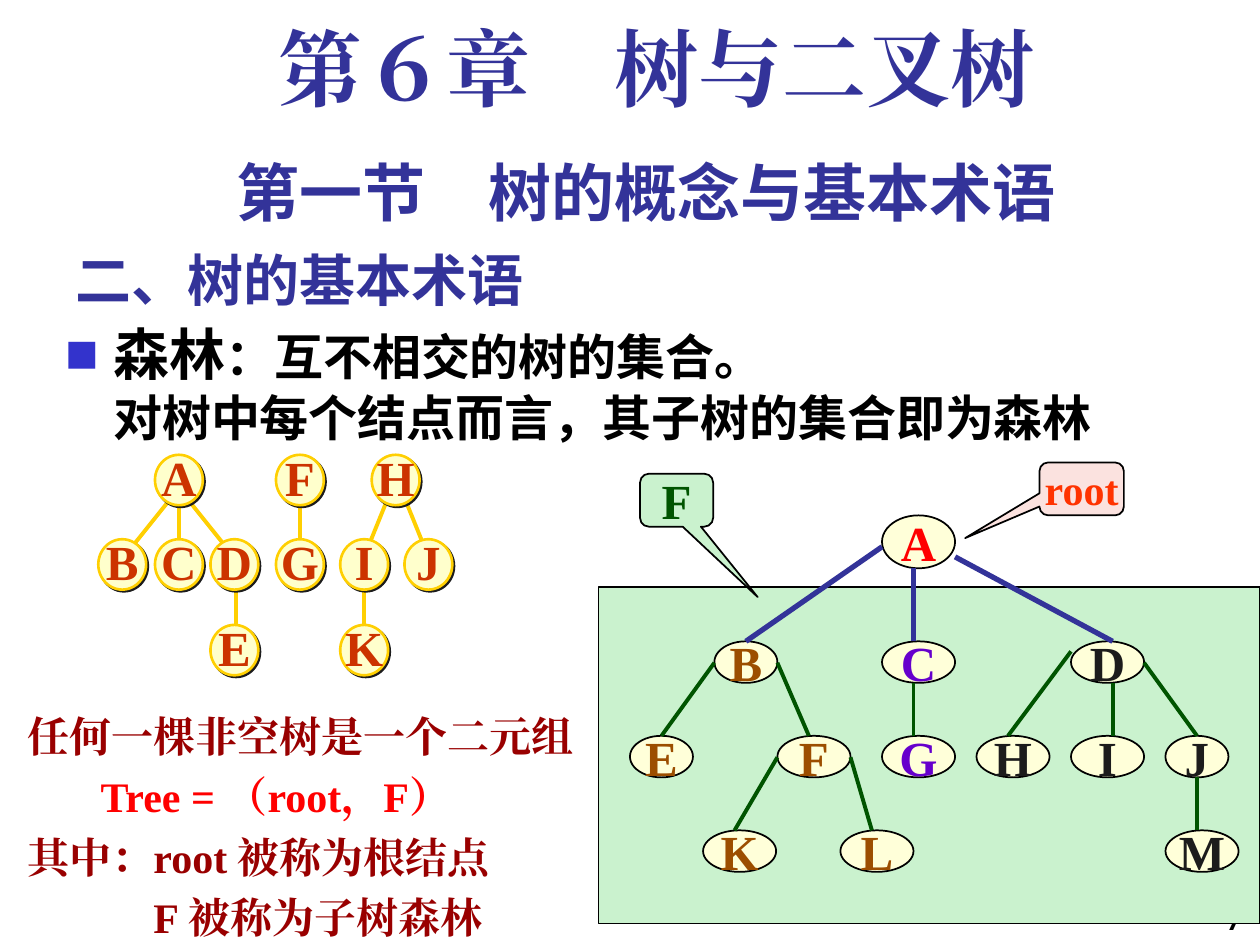
from dataclasses import dataclass
from typing import NamedTuple, Optional

from lxml.etree import SubElement
from pptx import Presentation
from pptx.dml.color import RGBColor
from pptx.enum.shapes import MSO_CONNECTOR, MSO_SHAPE
from pptx.enum.text import MSO_ANCHOR, PP_ALIGN
from pptx.oxml.ns import qn
from pptx.util import Inches, Pt


@dataclass(frozen=True)
class Theme:
    heading: str = "333399"
    ink: str = "000000"
    bullet: str = "3333CC"
    gold: str = "FFCF01"
    pale_yellow: str = "FFFFCC"
    cream: str = "FFFFD9"
    rust: str = "CC3300"
    dark_red: str = "990000"
    red: str = "FF0000"
    orange_red: str = "FF3300"
    pink: str = "FBE2DF"
    mint: str = "CAF2CE"
    green: str = "005400"
    brown: str = "9C4E00"
    purple: str = "6600CC"
    charcoal: str = "1C1C1C"
    serif: str = "Times New Roman"
    sans: str = "Roboto"
    chinese: str = "Noto Sans CJK SC"
    chapter_size: int = 48
    section_size: int = 36
    topic_size: int = 32
    node_size: int = 28
    note_size: int = 24


THEME = Theme()


class Area(NamedTuple):
    left: float
    top: float
    width: float
    height: float


class Span(NamedTuple):
    text: str
    size: int
    color: str
    font: str = THEME.serif
    bold: bool = True


class Line(NamedTuple):
    spans: list
    align: PP_ALIGN = PP_ALIGN.LEFT
    margin: float = 0
    spacing: Optional[float] = None
    bullet: bool = False


class Node(NamedTuple):
    label: str
    left: float
    top: float
    width: float
    color: str


class Edge(NamedTuple):
    x1: float
    y1: float
    x2: float
    y2: float


def rgb(color: str) -> RGBColor:
    return RGBColor.from_string(color)


def add_bullet(paragraph) -> None:
    properties = paragraph._p.get_or_add_pPr()
    properties.set("indent", str(-Inches(0.38)))
    color = SubElement(properties, qn("a:buClr"))
    SubElement(color, qn("a:srgbClr"), val=THEME.bullet)
    SubElement(properties, qn("a:buSzPct"), val="60000")
    SubElement(properties, qn("a:buFont"), typeface=THEME.chinese)
    SubElement(properties, qn("a:buChar"), char="■")


def write_lines(frame, lines: list) -> None:
    for index, line in enumerate(lines):
        paragraph = frame.paragraphs[0] if index == 0 else frame.add_paragraph()
        paragraph.alignment = line.align
        paragraph.line_spacing = line.spacing
        if line.margin:
            paragraph._p.get_or_add_pPr().set("marL", str(Inches(line.margin)))
        if line.bullet:
            add_bullet(paragraph)
        for span in line.spans:
            run = paragraph.add_run()
            run.text = span.text
            run.font.size = Pt(span.size)
            run.font.bold = span.bold
            run.font.name = span.font
            run.font.color.rgb = rgb(span.color)
            SubElement(run._r.get_or_add_rPr(), qn("a:ea"), typeface=span.font)


def add_text(page, area: Area, lines: list, anchor=MSO_ANCHOR.TOP, wrap: bool = True) -> None:
    box = page.shapes.add_textbox(*map(Inches, area))
    box.text_frame.word_wrap = wrap
    box.text_frame.vertical_anchor = anchor
    write_lines(box.text_frame, lines)


def add_figure(shapes, kind, area: Area, fill: str, outline: str = THEME.ink,
               weight: float = 1, label: Optional[Span] = None):
    shape = shapes.add_shape(kind, *map(Inches, area))
    shape.shadow.inherit = False
    shape.fill.solid()
    shape.fill.fore_color.rgb = rgb(fill)
    shape.line.color.rgb = rgb(outline)
    shape.line.width = Pt(weight)
    if label:
        shape.text_frame.word_wrap = False
        shape.text_frame.vertical_anchor = MSO_ANCHOR.MIDDLE
        write_lines(shape.text_frame, [Line([label], PP_ALIGN.CENTER)])
    return shape


def add_edge(shapes, edge: Edge, color: str, weight: float) -> None:
    line = shapes.add_connector(MSO_CONNECTOR.STRAIGHT, *map(Inches, edge))
    line.line.color.rgb = rgb(color)
    line.line.width = Pt(weight)
    SubElement(line._element.spPr, qn("a:effectLst"))


def add_forest_node(shapes, label: str, center_x: float, center_y: float) -> None:
    area = Area(center_x - 0.19, center_y - 0.2, 0.38, 0.4)
    span = Span(label, THEME.node_size, THEME.rust)
    shape = add_figure(shapes, MSO_SHAPE.OVAL, area, THEME.pale_yellow, THEME.gold, 1.5, span)
    shape.text_frame.margin_top = 0
    shape.text_frame.margin_bottom = Inches(0.05)
    effects = shape._element.spPr.find(qn("a:effectLst"))
    shadow = SubElement(effects, qn("a:outerShdw"), dist=str(Pt(1.4)), dir="2700000",
                        algn="ctr", rotWithShape="0")
    SubElement(shadow, qn("a:srgbClr"), val=THEME.charcoal)


def add_tree_node(shapes, node: Node, height: float = 0.33) -> None:
    add_figure(shapes, MSO_SHAPE.OVAL, Area(node.left, node.top, node.width, height),
               THEME.cream, label=Span(node.label, THEME.node_size, node.color))


def add_callout(shapes, area: Area, fill: str, label: Span, tip: tuple) -> None:
    callout = add_figure(shapes, MSO_SHAPE.ROUNDED_RECTANGULAR_CALLOUT, area, fill, label=label)
    callout.adjustments[0], callout.adjustments[1] = tip


FOREST_LEVELS = {
    3.81: {"A": 1.42, "F": 2.38, "H": 3.14},
    4.48: {"B": 0.97, "C": 1.42, "D": 1.86, "G": 2.38, "I": 2.89, "J": 3.4},
    5.16: {"E": 1.86, "K": 2.89},
}
FOREST_EDGES = [
    Edge(3.21, 3.95, 3.4, 4.42), Edge(3.08, 3.95, 2.89, 4.42),
    Edge(1.48, 3.95, 1.8, 4.35), Edge(1.36, 3.95, 1.04, 4.35),
    Edge(2.89, 4.62, 2.89, 5.03), Edge(1.87, 4.62, 1.87, 5.03),
    Edge(2.38, 3.95, 2.38, 4.35), Edge(1.42, 3.95, 1.42, 4.35),
]
TREE_NODES = [
    Node("B", 5.67, 5.09, 0.5, THEME.brown), Node("C", 7, 5.09, 0.58, THEME.purple),
    Node("D", 8.5, 5.09, 0.58, THEME.charcoal), Node("E", 5, 5.84, 0.5, THEME.brown),
    Node("F", 6.17, 5.84, 0.58, THEME.brown), Node("G", 7, 5.84, 0.58, THEME.purple),
    Node("H", 7.75, 5.84, 0.58, THEME.charcoal), Node("I", 8.5, 5.84, 0.58, THEME.charcoal),
    Node("J", 9.25, 5.84, 0.5, THEME.charcoal), Node("M", 9.25, 6.59, 0.58, THEME.charcoal),
    Node("K", 5.58, 6.59, 0.58, THEME.brown), Node("L", 6.67, 6.59, 0.58, THEME.brown),
]
SUBTREE_EDGES = [
    Edge(5.67, 5.26, 5.25, 5.84), Edge(6.17, 5.26, 6.42, 5.84), Edge(6.17, 6.01, 5.83, 6.59),
    Edge(6.75, 6.01, 6.92, 6.59), Edge(7.25, 5.42, 7.25, 5.84), Edge(8.5, 5.17, 8, 5.84),
    Edge(8.83, 5.42, 8.83, 5.84), Edge(9.08, 5.26, 9.5, 5.84), Edge(9.5, 6.17, 9.5, 6.59),
]
ROOT_EDGES = [Edge(7, 4.34, 5.92, 5.09), Edge(7.25, 4.51, 7.25, 5.09), Edge(7.58, 4.42, 8.83, 5.09)]


def add_headings(page) -> None:
    add_text(page, Area(0.5, 1.78, 6.25, 0.75), [Line(
        [Span("二、树的基本术语", THEME.topic_size, THEME.heading, THEME.chinese)])], MSO_ANCHOR.BOTTOM)
    add_text(page, Area(9.33, 7, 0.67, 0.59), [Line(
        [Span("7", THEME.note_size, THEME.ink, THEME.sans, False)], PP_ALIGN.RIGHT)])
    add_text(page, Area(0.5, 1.17, 9.25, 0.7), [Line(
        [Span("第一节　树的概念与基本术语", THEME.section_size, THEME.heading, THEME.sans)], PP_ALIGN.CENTER)])
    add_text(page, Area(0.67, 0.17, 9.08, 0.83), [Line(
        [Span("第６章　树与二叉树", THEME.chapter_size, THEME.heading)], PP_ALIGN.CENTER, spacing=0.9)])


def add_explanations(page) -> None:
    definition = Span("：互不相交的树的集合。", THEME.node_size, THEME.ink, THEME.chinese)
    add_text(page, Area(0.42, 2.49, 9.58, 4.42), [
        Line([definition._replace(text="森林", size=THEME.topic_size), definition], margin=0.38, bullet=True),
        Line([definition._replace(text="对树中每个结点而言，其子树的集合即为森林")], margin=0.38),
    ])
    notes = [("任何一棵非空树是一个二元组", 0, THEME.dark_red), ("Tree = （root，F）", 0.58, THEME.red),
             ("其中：root 被称为根结点", 0, THEME.dark_red), ("F 被称为子树森林", 1, THEME.dark_red)]
    add_text(page, Area(0.12, 5.51, 4.53, 2.02), [
        Line([Span(text, THEME.note_size, color)], margin=margin, spacing=1.2)
        for text, margin, color in notes], wrap=False)


def add_forest(page) -> None:
    group = page.shapes.add_group_shape()
    for edge in FOREST_EDGES:
        add_edge(group.shapes, edge, THEME.gold, 2.25)
    for center_y, level in FOREST_LEVELS.items():
        for label, center_x in level.items():
            add_forest_node(group.shapes, label, center_x, center_y)


def add_rooted_tree(page) -> None:
    shapes = page.shapes
    add_tree_node(shapes, Node("A", 7, 4.09, 0.58, THEME.red), 0.42)
    add_callout(shapes, Area(8.25, 3.67, 0.67, 0.42), THEME.pink,
                Span("root", THEME.note_size, THEME.orange_red), (-1.38, 0.93))
    add_figure(shapes, MSO_SHAPE.RECTANGLE, Area(4.75, 4.66, 5.25, 2.67), THEME.mint)
    for node in TREE_NODES:
        add_tree_node(shapes, node)
    for edge in SUBTREE_EDGES:
        add_edge(shapes, edge, THEME.green, 2.25)
    add_callout(shapes, Area(5.08, 3.76, 0.58, 0.42), THEME.mint,
                Span("F", THEME.node_size, THEME.green), (1.11, 1.83))
    for edge in ROOT_EDGES:
        add_edge(shapes, edge, THEME.heading, 3)


def main() -> None:
    deck = Presentation()
    deck.slide_width, deck.slide_height = Inches(10), Inches(7.5)
    page = deck.slides.add_slide(deck.slide_layouts[6])
    add_headings(page)
    add_explanations(page)
    add_forest(page)
    add_rooted_tree(page)
    deck.save("out.pptx")


if __name__ == "__main__":
    main()
